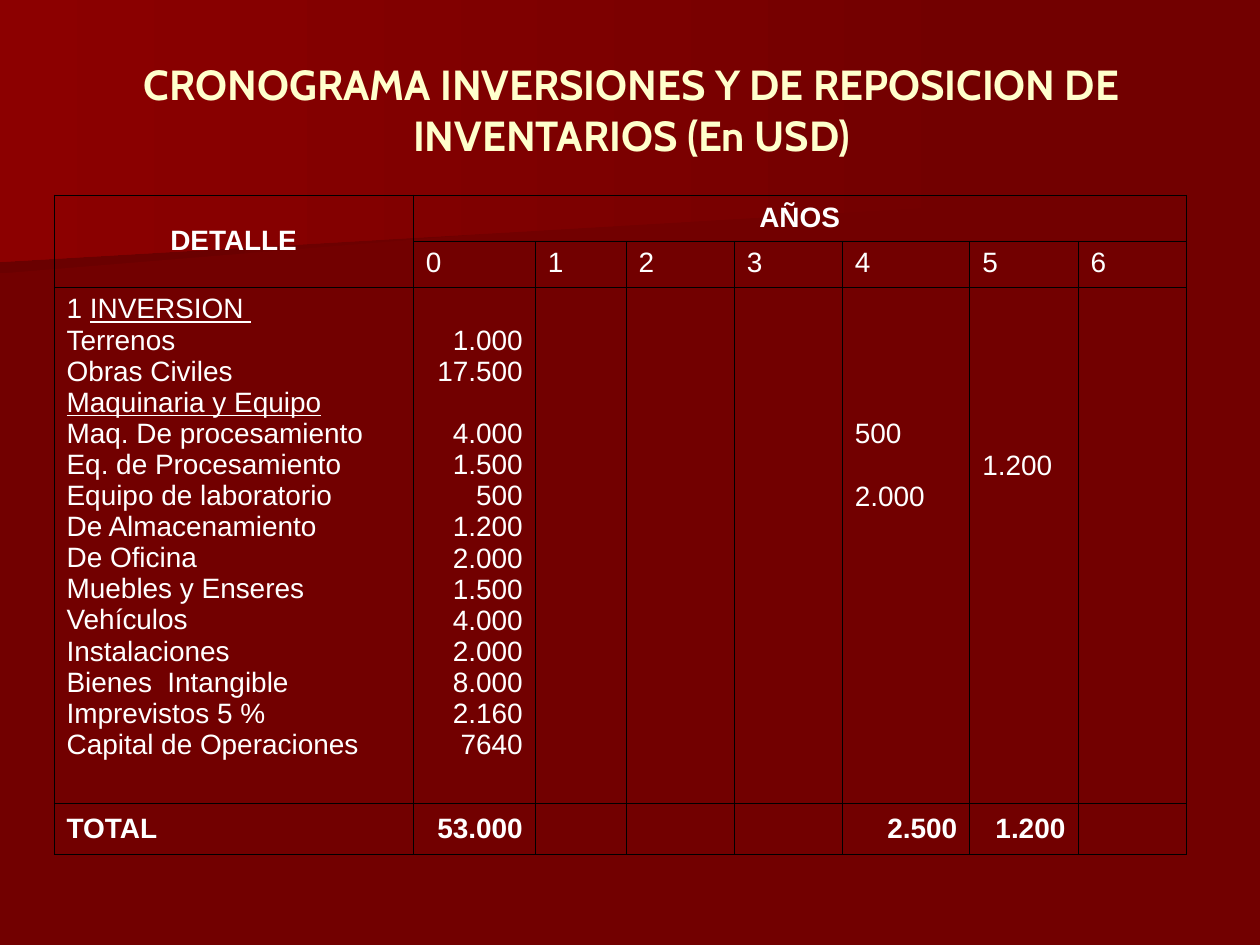
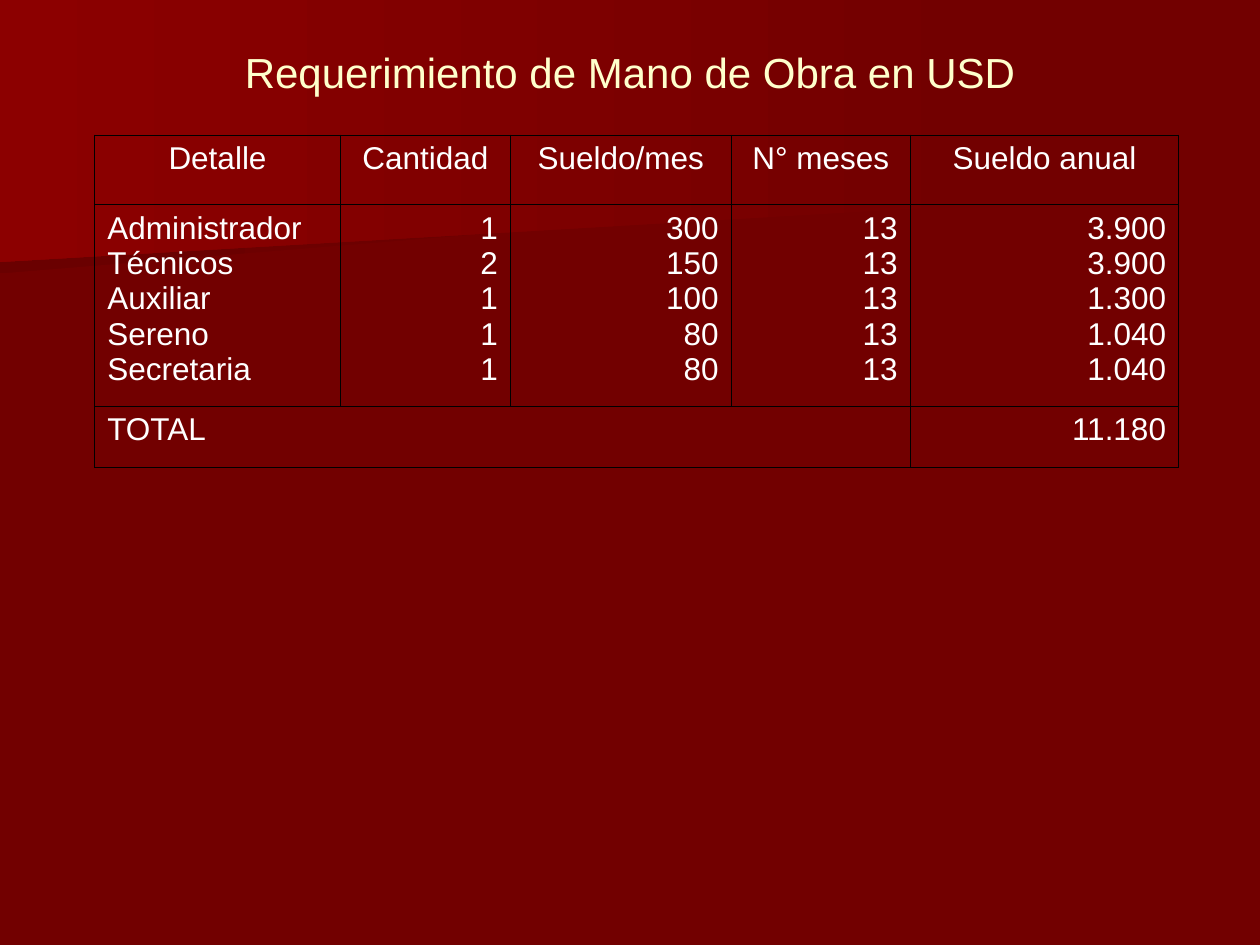
from lxml.etree import SubElement
from pptx import Presentation
from pptx.dml.color import RGBColor
from pptx.enum.text import MSO_ANCHOR, PP_ALIGN
from pptx.oxml.ns import qn
from pptx.util import Cm, Pt

COLORS = {
    "background": "720000",
    "shade": "6A0000",
    "glow": "8C0000",
    "title": "FFFFCC",
    "text": "FFFFFF",
    "border": "000000",
}
LINE_RATIO = 1.117  # line height of Arial relative to its size
LEFT, CENTER, RIGHT = PP_ALIGN.LEFT, PP_ALIGN.CENTER, PP_ALIGN.RIGHT

# Band outlines in cm, relative to the top left of the slide
BANDS = [
    ("shade", [(19.76, 3.89), (0, 5.51), (0, 2.57), (19.79, 2.57), (19.76, 3.25)]),
    ("glow", [(20.12, 4.11), (0, 5.28), (0, 0), (20.12, 0)]),
]


def color(name):
    return RGBColor.from_string(COLORS[name])


def set_format(target, formats):
    for name, value in formats.items():
        setattr(target, name, value)


def add_run(paragraph, text, color_name, formats):
    run = paragraph.add_run()
    run.text = text
    set_format(run.font, formats)
    run.font.color.rgb = color(color_name)


def add_bands(slide):
    for color_name, points in BANDS:
        corners = [(Cm(x), Cm(y)) for x, y in points]
        builder = slide.shapes.build_freeform(*corners[0])
        builder.add_line_segments(corners[1:], close=True)
        band = builder.convert_to_shape()
        band.shadow.inherit = False
        band.line.fill.background()
        band.fill.gradient()
        band.fill.gradient_angle = 180
        for stop, name in zip(band.fill.gradient_stops, ("background", color_name)):
            stop.color.rgb = color(name)


def add_title(slide, box, text, formats):
    frame = slide.shapes.add_textbox(*map(Cm, box)).text_frame
    set_format(frame, {"word_wrap": True, "vertical_anchor": MSO_ANCHOR.MIDDLE})
    paragraph = frame.paragraphs[0]
    paragraph.alignment = CENTER
    add_run(paragraph, text, "title", {"size": Pt(24), **formats})


def start_slide(presentation, title_box, title, title_formats):
    slide = presentation.slides.add_slide(presentation.slide_layouts[6])
    slide.background.fill.solid()
    slide.background.fill.fore_color.rgb = color("background")
    add_bands(slide)
    add_title(slide, title_box, title, title_formats)
    return slide


def style_cell(cell):
    cell.fill.background()
    properties = cell._tc.get_or_add_tcPr()
    for index, side in enumerate(("lnL", "lnR", "lnT", "lnB")):
        line = SubElement(properties, qn(f"a:{side}"), w=str(Pt(0.45)))
        fill = SubElement(line, qn("a:solidFill"))
        SubElement(fill, qn("a:srgbClr"), val=COLORS["border"])
        properties.insert(index, line)


def fill_cell(cell, lines, size, align=LEFT, bold=False, anchor=MSO_ANCHOR.TOP):
    """Write lines; None skips a line and _marks_ underline."""
    cell.vertical_anchor = anchor
    line_height = Pt(size * LINE_RATIO)
    skipped, paragraph = 0, None
    for line in lines:
        if line is None:
            skipped += 1
            continue
        gap = skipped * line_height
        if paragraph is None:
            paragraph = cell.text_frame.paragraphs[0]
            cell.margin_top += gap
        else:
            paragraph = cell.text_frame.add_paragraph()
            paragraph.space_before = gap
        skipped = 0
        paragraph.alignment = align
        for index, part in enumerate(line.split("_")):
            if part:
                add_run(paragraph, part, "text", {
                    "name": "Arial", "size": Pt(size), "bold": bold,
                    "underline": index % 2 == 1})


def add_grid(slide, position, widths, heights, merges=()):
    left, top = position
    table = slide.shapes.add_table(
        len(heights), len(widths), Cm(left), Cm(top),
        Cm(sum(widths)), Cm(sum(heights))).table
    set_format(table, {"first_row": False, "horz_banding": False})
    for column, width in zip(table.columns, widths):
        column.width = Cm(width)
    for row, height in zip(table.rows, heights):
        row.height = Cm(height)
    for cell in table.iter_cells():
        style_cell(cell)
    for first, last in merges:
        table.cell(*first).merge(table.cell(*last))
    return table


def build_investment_slide(presentation):
    slide = start_slide(
        presentation, (1.3, 0.91, 22.86, 2.59),
        "CRONOGRAMA INVERSIONES Y DE REPOSICION DE INVENTARIOS (En USD)",
        {"name": "Cabin", "bold": True})
    table = add_grid(
        slide, (1.09, 3.93),
        [7.24, 2.46, 1.83, 2.18, 2.18, 2.57, 2.18, 2.18],
        [0.91, 0.91, 10.36, 1.02],
        [((0, 0), (1, 0)), ((0, 1), (0, 7))])
    size = 16

    # Headings
    strong = {"bold": True, "anchor": MSO_ANCHOR.MIDDLE}
    for column, heading in enumerate(("DETALLE", "AÑOS")):
        fill_cell(table.cell(0, column), [heading], size, CENTER, **strong)
    for year in range(7):
        fill_cell(table.cell(1, year + 1), [str(year)], size)

    # Investments: detail and amount in year 0
    investments = [
        ("1 _INVERSION _", None),
        ("Terrenos", "1.000"),
        ("Obras Civiles", "17.500"),
        ("_Maquinaria y Equipo_", None),
        ("Maq. De procesamiento", "4.000"),
        ("Eq. de Procesamiento", "1.500"),
        ("Equipo de laboratorio", "500"),
        ("De Almacenamiento", "1.200"),
        ("De Oficina", "2.000"),
        ("Muebles y Enseres", "1.500"),
        ("Vehículos", "4.000"),
        ("Instalaciones", "2.000"),
        ("Bienes  Intangible", "8.000"),
        ("Imprevistos 5 %", "2.160"),
        ("Capital de Operaciones", "7640"),
    ]
    details, amounts = zip(*investments)
    fill_cell(table.cell(2, 0), details, size)
    fill_cell(table.cell(2, 1), amounts, size, RIGHT)

    # Replacements in years 4 and 5
    fill_cell(table.cell(2, 5), [None] * 4 + ["500", None, "2.000"], size)
    fill_cell(table.cell(2, 6), [None] * 5 + ["1.200"], size)

    # Totals
    fill_cell(table.cell(3, 0), ["TOTAL"], size, **strong)
    for column, total in {1: "53.000", 5: "2.500", 6: "1.200"}.items():
        fill_cell(table.cell(3, column), [total], size, RIGHT, **strong)


def build_labour_slide(presentation):
    slide = start_slide(
        presentation, (1.27, 0.76, 22.86, 1.37),
        "Requerimiento de Mano de Obra en USD", {"name": "Arial"})
    table = add_grid(
        slide, (1.91, 2.72),
        [4.95, 3.43, 4.45, 3.61, 5.41], [1.4, 4.06, 1.24],
        [((2, 0), (2, 3))])
    size = 18

    headings = ["Detalle", "Cantidad", "Sueldo/mes", "N° meses", "Sueldo anual"]
    staff = [
        ("Administrador", "1", "300", "13", "3.900"),
        ("Técnicos", "2", "150", "13", "3.900"),
        ("Auxiliar", "1", "100", "13", "1.300"),
        ("Sereno", "1", "80", "13", "1.040"),
        ("Secretaria", "1", "80", "13", "1.040"),
    ]
    for column, (heading, values) in enumerate(zip(headings, zip(*staff))):
        fill_cell(table.cell(0, column), [heading], size, CENTER)
        fill_cell(table.cell(1, column), values, size, RIGHT if column else LEFT)

    # Totals
    fill_cell(table.cell(2, 0), ["TOTAL"], size)
    fill_cell(table.cell(2, 4), ["11.180"], size, RIGHT)


def main():
    presentation = Presentation()
    set_format(presentation, {"slide_width": Cm(25.4), "slide_height": Cm(19.05)})
    build_investment_slide(presentation)
    build_labour_slide(presentation)
    presentation.save("out.pptx")


if __name__ == "__main__":
    main()
